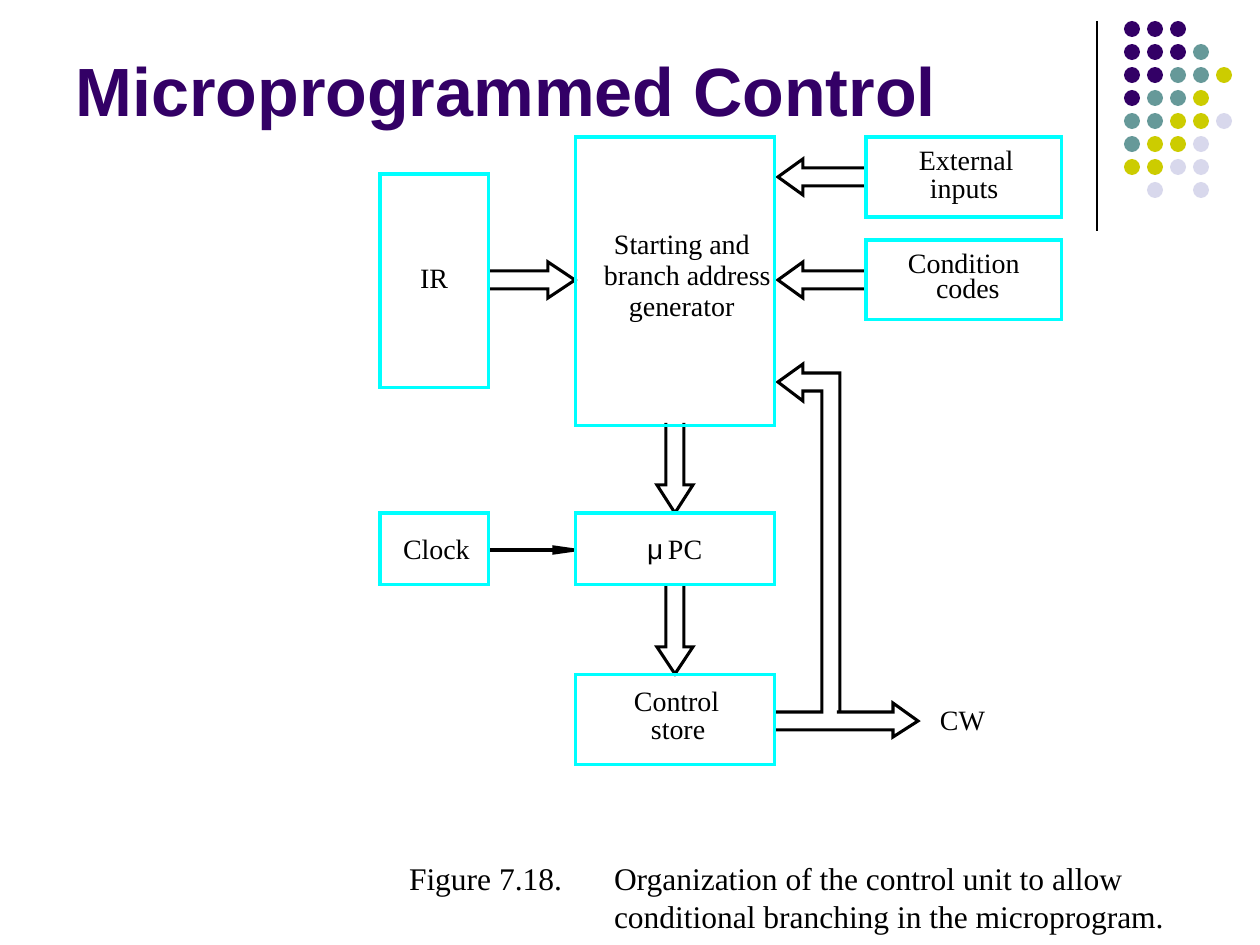
"""Build the slide showing a microprogrammed control unit with conditional branching."""

from dataclasses import dataclass
from typing import Optional

from lxml.etree import SubElement
from pptx import Presentation
from pptx.dml.color import RGBColor
from pptx.enum.shapes import MSO_CONNECTOR, MSO_SHAPE
from pptx.enum.text import MSO_ANCHOR, MSO_AUTO_SIZE, PP_ALIGN
from pptx.oxml.ns import qn
from pptx.shapes.autoshape import Shape
from pptx.shapes.connector import Connector
from pptx.slide import Slide
from pptx.util import Emu, Pt

SCALE = 914400 / 126
Point = tuple[int, int]


@dataclass(frozen=True)
class Theme:
    title: str = "330066"
    ink: str = "000000"
    paper: str = "FFFFFF"
    frame: str = "00FFFF"
    teal: str = "669999"
    yellow: str = "CCCC00"
    lavender: str = "D8D8EC"
    sans: str = "Arial"
    serif: str = "Times New Roman"
    title_size: int = 39
    caption_size: int = 18
    label_size: int = 16
    line_width: float = 1.75
    rule_width: float = 0.75


THEME = Theme()


@dataclass(frozen=True)
class Block:
    left: int
    top: int
    width: int
    height: int
    fill: Optional[str] = None


@dataclass(frozen=True)
class Label:
    text: str
    left: int
    top: int
    width: int
    font: str = THEME.serif


@dataclass(frozen=True)
class BlockArrow:
    tail: Point
    neck: Point
    tip: Point

    def outline(self) -> list[Point]:
        """Return the outline, open at the tail, of a straight block arrow."""
        horizontal = self.tail[1] == self.tip[1]

        def beside(point: Point, offset: int) -> Point:
            return (point[0], point[1] + offset) if horizontal else (point[0] + offset, point[1])

        shaft, head = 9, 18
        return [beside(self.tail, shaft), beside(self.neck, shaft), beside(self.neck, head), self.tip,
                beside(self.neck, -head), beside(self.neck, -shaft), beside(self.tail, -shaft)]


BLOCKS = [
    Block(576, 675, 199, 90),
    Block(866, 240, 196, 80),
    Block(380, 513, 109, 72),
    Block(576, 137, 199, 289),
    Block(866, 137, 196, 80),
    Block(380, 174, 109, 214, THEME.paper),
    Block(576, 513, 199, 72, THEME.paper),
]
ARROWS = [
    BlockArrow((865, 280), (803, 280), (778, 280)),
    BlockArrow((865, 177), (803, 177), (778, 177)),
    BlockArrow((489, 280), (548, 280), (575, 280)),
    BlockArrow((675, 585), (675, 647), (675, 674)),
    BlockArrow((675, 423), (675, 485), (675, 513)),
]
FEEDBACK_PATH = [(840, 712), (840, 373), (803, 373), (803, 364), (778, 382), (803, 401),
                 (803, 391), (822, 391), (822, 712), (775, 712)]
OUTPUT_PATH = [(775, 730), (893, 730), (893, 737), (918, 721), (893, 703), (893, 712), (837, 712)]
CLOCK_HEAD = [(554, 553), (575, 550), (554, 547), (554, 553)]
LABELS = [
    Label("Control", 634, 684, 90),
    Label("store", 651, 712, 60),
    Label("Clock", 403, 532, 72),
    Label("Starting and", 614, 227, 142),
    Label("branch address", 604, 258, 174),
    Label("generator", 629, 289, 112),
    Label("Condition", 908, 246, 118),
    Label("codes", 936, 271, 70),
    Label("External", 919, 143, 102),
    Label("inputs", 930, 171, 76),
    Label("CW", 940, 703, 51),
    Label("IR", 420, 261, 34),
    Label("μ", 647, 532, 20, THEME.sans),
    Label("PC", 668, 532, 42),
]
DOT_ROWS = ["PPP", "PPPT", "PPTTY", "PTTY", "TTYYL", "TYYL", "YYLL", " L L"]
DOT_COLORS = {"P": THEME.title, "T": THEME.teal, "Y": THEME.yellow, "L": THEME.lavender}


def px(value: int) -> Emu:
    """Turn px into EMU."""
    return Emu(round(value * SCALE))


def box(left: int, top: int, width: int, height: int) -> tuple[Emu, Emu, Emu, Emu]:
    """Turn a px rectangle into EMU."""
    return px(left), px(top), px(width), px(height)


def style_shape(shape: Shape, fill: Optional[str], line: Optional[str]) -> None:
    """Set fill and mitred line of a shape and take off its shadow."""
    shape.shadow.inherit = False
    if fill:
        shape.fill.solid()
        shape.fill.fore_color.rgb = RGBColor.from_string(fill)
    else:
        shape.fill.background()
    if line:
        shape.line.color.rgb = RGBColor.from_string(line)
        shape.line.width = Pt(THEME.line_width)
        SubElement(shape.line._get_or_add_ln(), qn("a:miter"), lim="800000")
    else:
        shape.line.fill.background()


def add_line(slide: Slide, start: Point, end: Point, width: float) -> Connector:
    """Draw a straight line."""
    line = slide.shapes.add_connector(MSO_CONNECTOR.STRAIGHT, *map(px, start + end))
    line.line.color.rgb = RGBColor.from_string(THEME.ink)
    line.line.width = Pt(width)
    SubElement(line._element.spPr, qn("a:effectLst"))
    return line


def add_outline(slide: Slide, points: list[Point], fill: Optional[str] = None) -> Shape:
    """Draw a freeform through the points."""
    builder = slide.shapes.build_freeform(*points[0], scale=SCALE)
    builder.add_line_segments(points[1:], close=fill is not None)
    shape = builder.convert_to_shape()
    style_shape(shape, fill, THEME.ink)
    return shape


def add_text(slide: Slide, label: Label, height: int, size: int, wrap: bool) -> Shape:
    """Add a text box without margins."""
    shape = slide.shapes.add_textbox(*box(label.left, label.top, label.width, height))
    frame = shape.text_frame
    frame.margin_left = frame.margin_right = frame.margin_top = frame.margin_bottom = 0
    frame.word_wrap = wrap
    frame.auto_size = MSO_AUTO_SIZE.SHAPE_TO_FIT_TEXT
    frame.text = label.text
    font = frame.paragraphs[0].font
    font.name, font.size = label.font, Pt(size)
    font.color.rgb = RGBColor.from_string(THEME.ink)
    return shape


def add_title(slide: Slide, text: str) -> None:
    """Place and format the title placeholder."""
    title = slide.shapes.title
    title.left, title.top, title.width, title.height = box(63, -42, 1040, 179)
    frame = title.text_frame
    frame.text = text
    frame.vertical_anchor = MSO_ANCHOR.BOTTOM
    paragraph = frame.paragraphs[0]
    paragraph.alignment = PP_ALIGN.LEFT
    font = paragraph.font
    font.name, font.size, font.bold = THEME.sans, Pt(THEME.title_size), True
    font.color.rgb = RGBColor.from_string(THEME.title)


def add_dots(slide: Slide) -> None:
    """Draw the grid of coloured dots in the corner."""
    for row, codes in enumerate(DOT_ROWS):
        for column, code in enumerate(codes):
            if code in DOT_COLORS:
                dot = slide.shapes.add_shape(MSO_SHAPE.OVAL, *box(1124 + 23 * column, 21 + 23 * row, 16, 16))
                style_shape(dot, DOT_COLORS[code], None)


def add_caption(slide: Slide) -> None:
    """Add the figure caption with a hanging indent."""
    text = "Figure 7.18.\tOrganization of the control unit to allow conditional branching in the microprogram."
    caption = add_text(slide, Label(text, 409, 859, 765), 76, THEME.caption_size, True)
    properties = caption.text_frame.paragraphs[0]._p.get_or_add_pPr()
    properties.set("marL", str(px(205)))
    properties.set("indent", str(px(-205)))


def main() -> None:
    """Build and save the presentation."""
    presentation = Presentation()
    presentation.slide_width, presentation.slide_height = px(1260), px(945)
    slide = presentation.slides.add_slide(presentation.slide_layouts[5])
    add_line(slide, (1097, 21), (1097, 231), THEME.rule_width)
    add_dots(slide)
    add_title(slide, "Microprogrammed Control")
    add_caption(slide)
    add_line(slide, (489, 550), (554, 550), THEME.line_width)
    add_outline(slide, CLOCK_HEAD, THEME.ink)
    for points in [*(arrow.outline() for arrow in ARROWS), FEEDBACK_PATH, OUTPUT_PATH]:
        add_outline(slide, points)
    for block in BLOCKS:
        area = box(block.left, block.top, block.width, block.height)
        style_shape(slide.shapes.add_shape(MSO_SHAPE.RECTANGLE, *area), block.fill, THEME.frame)
    for label in LABELS:
        add_text(slide, label, 34, THEME.label_size, False)
    presentation.save("out.pptx")


if __name__ == "__main__":
    main()
